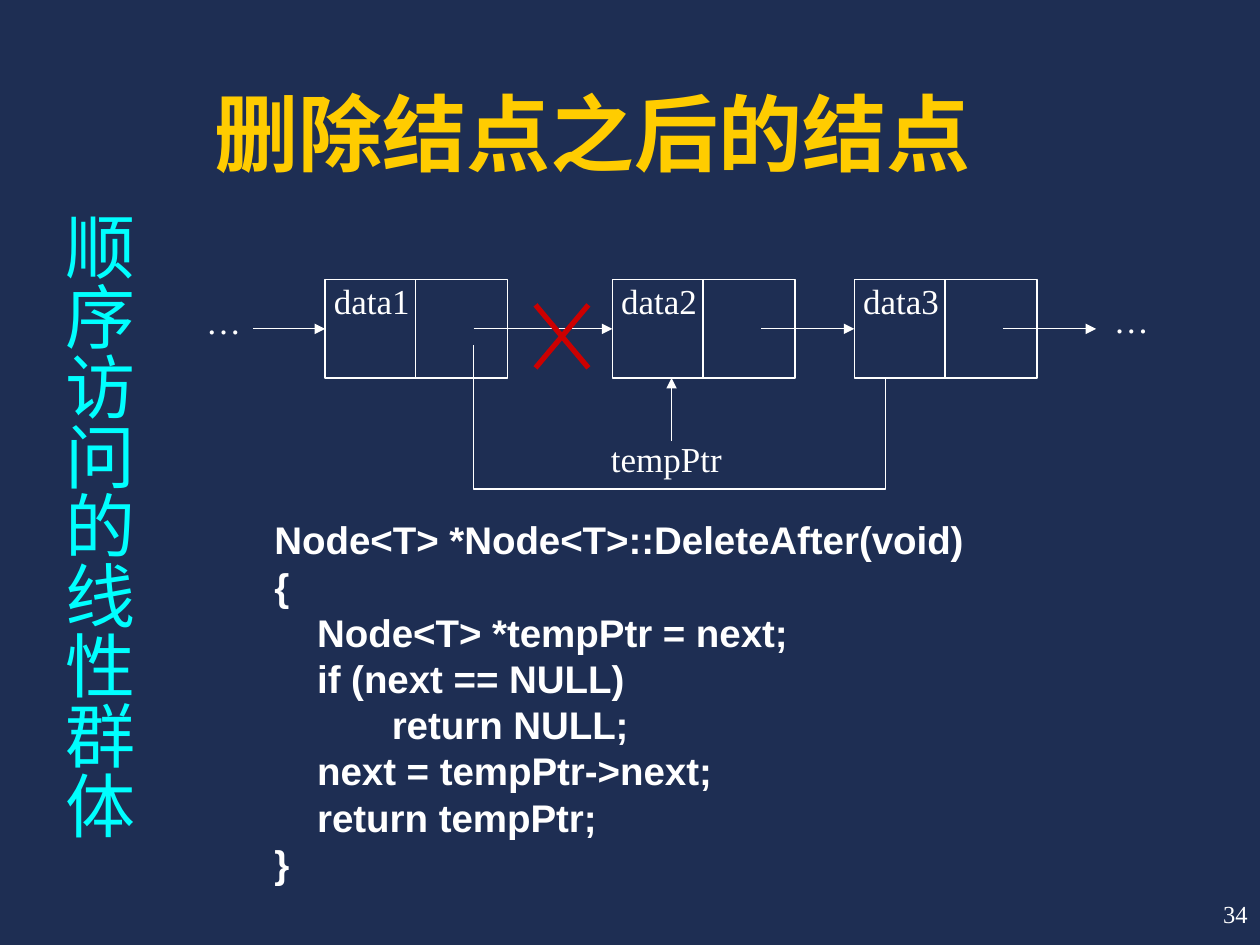
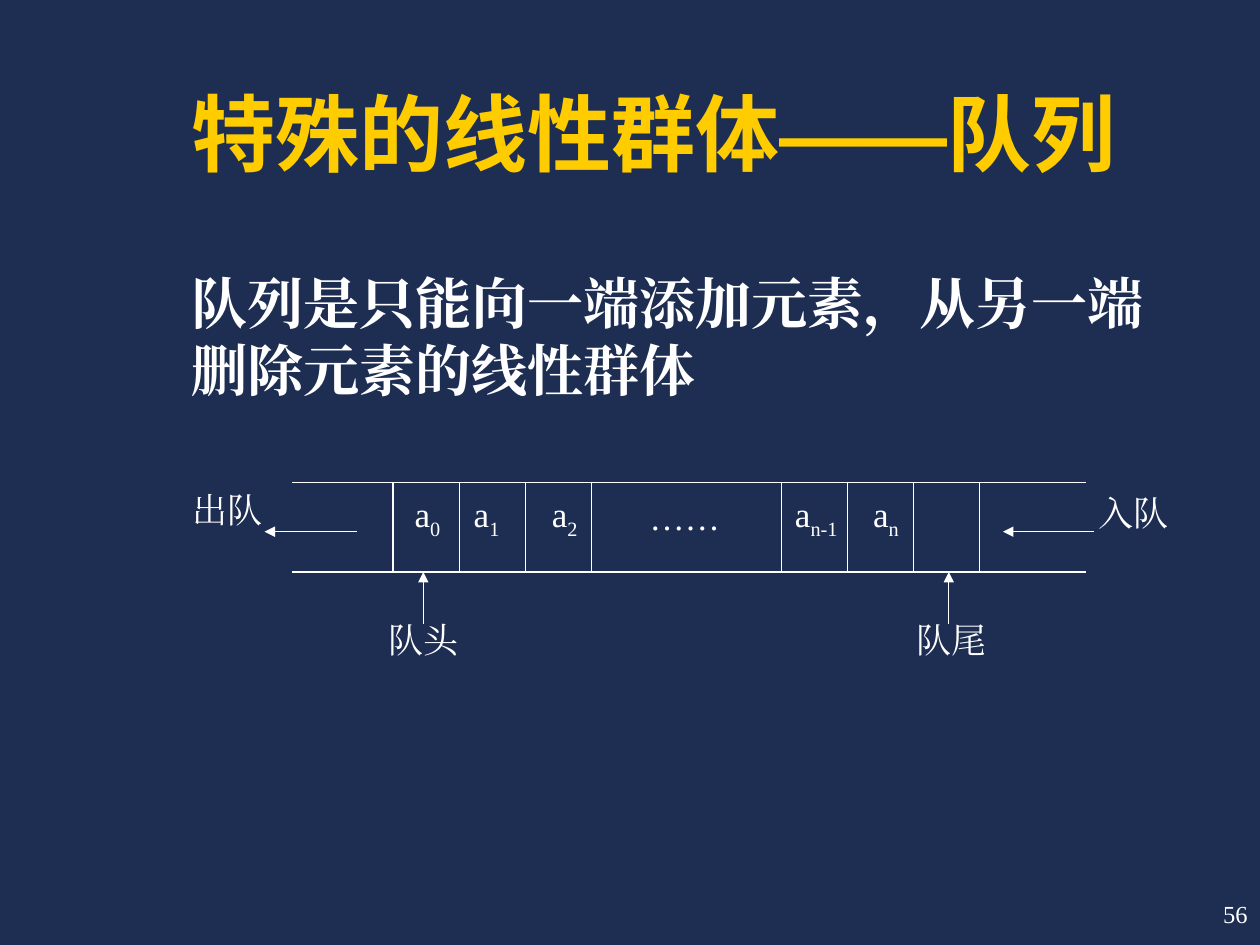
from lxml.etree import SubElement
from pptx import Presentation
from pptx.dml.color import RGBColor
from pptx.enum.shapes import MSO_CONNECTOR, MSO_SHAPE
from pptx.enum.text import MSO_ANCHOR, MSO_AUTO_SIZE, PP_ALIGN
from pptx.oxml.ns import qn
from pptx.util import Inches, Pt

NAVY = RGBColor(0x1E, 0x2E, 0x53)
GOLD = RGBColor(0xFF, 0xCC, 0x00)
CYAN = RGBColor(0x00, 0xFF, 0xFF)
WHITE = RGBColor(0xFF, 0xFF, 0xFF)
RED = RGBColor(0xCC, 0x00, 0x00)
SERIF, SANS, CHINESE = "Times New Roman", "Arial", "Noto Sans CJK SC"

WIDTH, HEIGHT = 10, 7.5
TITLE_BOX = (1.42, 0.25, 7.83, 1.25)
NUMBER_BOX = (WIDTH - 2.08, HEIGHT - 0.5, 2.08, 0.5)
PADDING = (0.1, 0.05)

DELETE_TITLE = "删除结点之后的结点"
CHAPTER = "顺序访问的线性群体"
NODES = [("data1", 2.58), ("data2", 4.86), ("data3", 6.78)]
NODE_TOP, NODE_WIDTH, NODE_HEIGHT = 2.22, 1.45, 0.78
DIVIDER, POINTER = 0.72, 1.18  # offsets from a node's left side
LIST_START, LIST_END = 2.01, 8.7
CROSS = (4.25, 2.42, 4.67, 2.92)
CODE = [
    "Node<T> *Node<T>::DeleteAfter(void)",
    "{",
    "    Node<T> *tempPtr = next;",
    "    if (next == NULL)",
    "           return NULL;",
    "    next = tempPtr->next;",
    "    return tempPtr;",
    "}",
]

QUEUE_TITLE = "特殊的线性群体——队列"
QUEUE_DEFINITION = "队列是只能向一端添加元素，从另一端删除元素的线性群体"
QUEUE_LEFT, QUEUE_RIGHT, QUEUE_TOP, QUEUE_BOTTOM = 2.32, 8.62, 3.83, 4.54
CELL = 0.525
CELL_GROUPS = [3.12, 6.2]  # left of each run of three cells
ELEMENTS = [("0", 3.29), ("1", 3.76), ("2", 4.38), ("n-1", 6.31), ("n", 6.93)]
QUEUE_LABELS = [
    ("出队", 1.3, 3.83),
    ("入队", 8.49, 3.85),
    ("……", 4.93, 3.88),
    ("队头", 2.86, 4.86),
    ("队尾", 7.05, 4.86),
]
QUEUE_ARROWS = [
    (3.36, 4.95, 3.36, QUEUE_BOTTOM),
    (7.53, 4.95, 7.53, QUEUE_BOTTOM),
    (2.83, 4.22, 2.1, 4.22),
    (8.68, 4.22, 7.96, 4.22),
]


def add_run(paragraph, text, size=20, font=SERIF, color=WHITE, bold=False, subscript=False):
    run = paragraph.add_run()
    run.text = text
    run.font.size = Pt(size)
    run.font.bold = bold
    run.font.color.rgb = color
    run.font.name = font
    properties = run._r.get_or_add_rPr()
    SubElement(properties, qn("a:ea")).set("typeface", font)
    if subscript:
        properties.set("baseline", "-25000")


def format_frame(shape, padding=PADDING, anchor=MSO_ANCHOR.TOP):
    frame = shape.text_frame
    frame.word_wrap = True
    frame.auto_size = MSO_AUTO_SIZE.NONE
    frame.vertical_anchor = anchor
    frame.margin_left = frame.margin_right = Inches(padding[0])
    frame.margin_top = frame.margin_bottom = Inches(padding[1])
    return frame


def place(shape, box):
    shape.left, shape.top, shape.width, shape.height = map(Inches, box)


def add_text(slide, box, lines, align=PP_ALIGN.LEFT, padding=PADDING,
             anchor=MSO_ANCHOR.TOP, **style):
    frame = format_frame(slide.shapes.add_textbox(*map(Inches, box)), padding, anchor)
    for index, line in enumerate(lines):
        paragraph = frame.add_paragraph() if index else frame.paragraphs[0]
        paragraph.alignment = align
        add_run(paragraph, line, **style)
    return frame


def add_line(slide, ends, color=WHITE, weight=0.75, arrow=False):
    line = slide.shapes.add_connector(MSO_CONNECTOR.STRAIGHT, *map(Inches, ends))
    line.line.color.rgb = color
    line.line.width = Pt(weight)
    if arrow:
        SubElement(line.line._get_or_add_ln(), qn("a:tailEnd")).set("type", "triangle")
    SubElement(line._element.spPr, qn("a:effectLst"))
    return line


def outline(shape):
    shape.shadow.inherit = False
    shape.fill.background()
    shape.line.color.rgb = WHITE
    shape.line.width = Pt(0.75)


def add_slide(presentation, layout, title, number, indent=0):
    slide = presentation.slides.add_slide(presentation.slide_layouts[layout])
    place(slide.shapes.title, TITLE_BOX)
    frame = format_frame(slide.shapes.title, anchor=MSO_ANCHOR.BOTTOM)
    frame.margin_left = Inches(PADDING[0] + indent)
    paragraph = frame.paragraphs[0]
    paragraph.alignment = PP_ALIGN.LEFT
    add_run(paragraph, title, 48, SANS, GOLD, bold=True)
    add_text(slide, NUMBER_BOX, [number], PP_ALIGN.RIGHT, anchor=MSO_ANCHOR.MIDDLE, size=14)
    return slide


def add_node(slide, name, left):
    box = (left, NODE_TOP, NODE_WIDTH, NODE_HEIGHT)
    node = slide.shapes.add_shape(MSO_SHAPE.RECTANGLE, *map(Inches, box))
    outline(node)
    frame = format_frame(node, (0.07, 0))
    frame.paragraphs[0].alignment = PP_ALIGN.LEFT
    add_run(frame.paragraphs[0], name)
    x = left + DIVIDER
    add_line(slide, (x, NODE_TOP, x, NODE_TOP + NODE_HEIGHT))
    return node


def build_delete_slide(presentation):
    slide = add_slide(presentation, 5, DELETE_TITLE, "34", indent=0.18)
    chapter = add_text(slide, (0.3, 1.58, 0.86, 5.24), [CHAPTER], padding=(0.05, 0.1),
                       size=40, font=CHINESE, color=CYAN)
    chapter._txBody.bodyPr.set("vert", "eaVert")

    nodes = [add_node(slide, name, left) for name, left in NODES]
    middle, bottom = NODE_TOP + NODE_HEIGHT / 2, NODE_TOP + NODE_HEIGHT
    tails = [LIST_START] + [left + POINTER for _, left in NODES]
    heads = [left for _, left in NODES] + [LIST_END]
    for index, (tail, head) in enumerate(zip(tails, heads)):
        arrow = add_line(slide, (tail, middle, head, middle), arrow=True)
        if index < len(nodes):
            arrow.end_connect(nodes[index], 1)
    add_text(slide, (1.5, 2.38, 0.55, 0.62), ["…"], PP_ALIGN.CENTER, (0, 0))
    add_text(slide, (8.58, 2.32, 0.8, 0.85), ["…"], PP_ALIGN.CENTER)

    bypass = [(3.76, 2.74), (3.76, 3.88), (7.03, 3.88), (7.03, bottom)]
    points = [(Inches(x), Inches(y)) for x, y in bypass]
    builder = slide.shapes.build_freeform(*points[0])
    builder.add_line_segments(points[1:], close=False)
    outline(builder.convert_to_shape())

    left, top, right, low = CROSS
    for ends in ((left, top, right, low), (right, top, left, low)):
        add_line(slide, ends, RED, 3)
    add_text(slide, (4.75, 3.42, 1.08, 0.44), ["tempPtr"])
    add_line(slide, (5.33, 3.5, 5.33, bottom), arrow=True)
    add_text(slide, (2.08, 4.05, 7.58, 3.04), CODE, size=22, font=SANS, bold=True)


def build_queue_slide(presentation):
    slide = add_slide(presentation, 1, QUEUE_TITLE, "56")
    body = slide.placeholders[1]
    place(body, (1.42, 2.08, 7.92, 1.58))
    paragraph = format_frame(body).paragraphs[0]
    properties = paragraph._p.get_or_add_pPr()
    properties.set("marL", "0")
    properties.set("indent", "0")
    SubElement(properties, qn("a:buNone"))
    paragraph.space_before = Pt(0)
    add_run(paragraph, QUEUE_DEFINITION, 32, bold=True)

    for y in (QUEUE_TOP, QUEUE_BOTTOM):
        add_line(slide, (QUEUE_LEFT, y, QUEUE_RIGHT, y))
    for start in CELL_GROUPS:
        for index in range(4):
            x = start + index * CELL
            add_line(slide, (x, QUEUE_TOP, x, QUEUE_BOTTOM))
    for index, left in ELEMENTS:
        frame = add_text(slide, (left, 3.91, CELL, 0.6), ["a"], padding=(0, 0))
        add_run(frame.paragraphs[0], index, subscript=True)
    for text, left, top in QUEUE_LABELS:
        add_text(slide, (left, top, 1.01, 0.64), [text], PP_ALIGN.CENTER)
    for ends in QUEUE_ARROWS:
        add_line(slide, ends, arrow=True)


def main():
    presentation = Presentation()
    presentation.slide_width, presentation.slide_height = Inches(WIDTH), Inches(HEIGHT)
    background = presentation.slide_master.background.fill
    background.solid()
    background.fore_color.rgb = NAVY
    build_delete_slide(presentation)
    build_queue_slide(presentation)
    presentation.save("out.pptx")


if __name__ == "__main__":
    main()
